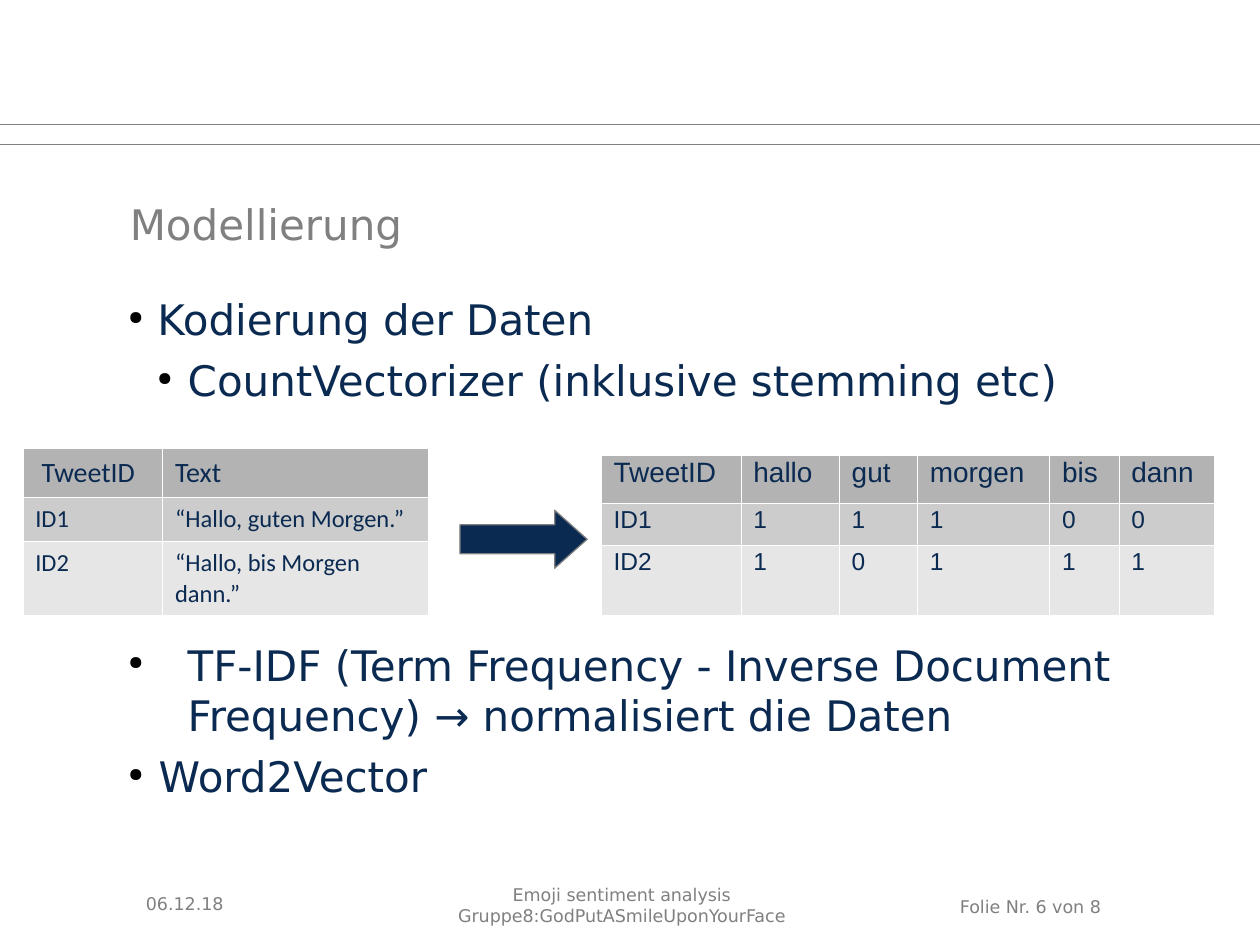
from dataclasses import dataclass

from lxml import etree
from pptx import Presentation
from pptx import util as u
from pptx.dml.color import RGBColor
from pptx.enum import shapes, text
from pptx.oxml import ns

NAVY = RGBColor(0x0B, 0x2A, 0x51)
GRAY = RGBColor(0x80, 0x80, 0x80)
WHITE = RGBColor(0xFF, 0xFF, 0xFF)
BLACK = RGBColor(0, 0, 0)
BANDS = [RGBColor(v, v, v) for v in (0xB3, 0xCC, 0xE6)]
SANS = "DejaVu Sans"
LEFT, MID = text.PP_ALIGN.LEFT, text.PP_ALIGN.CENTER


@dataclass
class Item:
    words: str
    left: float
    hang: float
    gap: float = 6
    level: int = 0


@dataclass
class Grid:
    left: float
    top: float
    cols: list[float]
    rows: list[float]
    cells: list[list[str]]
    font: str
    pitch: float


@dataclass
class Note:
    lines: list[str]
    left: float
    top: float
    width: float
    height: float
    align: text.PP_ALIGN = LEFT
    anchor: text.MSO_ANCHOR = text.MSO_ANCHOR.TOP


ITEMS = [
    Item("Kodierung der Daten", 0.23, 0.23),
    Item("CountVectorizer (inklusive stemming etc)", 0.47, 0.24, level=1),
    # The wide gap leaves room for the two tables
    Item("TF-IDF (Term Frequency - Inverse Document Frequency) → normalisiert die Daten",
         0.47, 0.47, gap=134),
    Item("Word2Vector", 0.24, 0.24),
]
GRIDS = [
    Grid(0.18, 3.56, [1.11, 2.11], [0.38, 0.35, 0.59],
         [[" TweetID", "Text"],
          ["ID1", "“Hallo, guten Morgen.”"],
          ["ID2", "“Hallo, bis Morgen dann.”"]], "Calibri", 1.04),
    Grid(4.77, 3.61, [1.11, 0.78, 0.62, 1.05, 0.55, 0.76], [0.38, 0.34, 0.55],
         [["TweetID", "hallo", "gut", "morgen", "bis", "dann"],
          ["ID1", "1", "1", "1", "0", "0"],
          ["ID2", "1", "0", "1", "1", "1"]], "Arial", 0.87),
]
NOTES = [
    Note(["06.12.18"], 1.06, 6.97, 2.33, 0.4, anchor=text.MSO_ANCHOR.MIDDLE),
    Note(["Emoji sentiment analysis", "Gruppe8:GodPutASmileUponYourFace"],
         3.5, 6.97, 2.87, 0.44, align=MID),
    Note(["Folie Nr. 6 von 8"], 7.52, 7.06, 1.89, 0.29),
]


def write(para, words: str, *, size=24, font=SANS, color=NAVY, align=LEFT,
          before=0, pitch=None) -> None:
    run = para.add_run()
    run.text = words
    run.font.size, run.font.name = u.Pt(size), font
    run.font.color.rgb = color
    para.alignment = align
    para.space_before = u.Pt(before)
    if pitch:
        para.line_spacing = pitch


def frame(shape, x=0.0, y=0.0, anchor=text.MSO_ANCHOR.TOP):
    body = shape.text_frame
    body.word_wrap = True
    body.auto_size = text.MSO_AUTO_SIZE.NONE
    body.vertical_anchor = anchor
    body.margin_left = body.margin_right = u.Inches(x)
    body.margin_top = body.margin_bottom = u.Inches(y)
    return body


def paras(body, count: int) -> list:
    return [body.paragraphs[0]] + [body.add_paragraph() for _ in range(count - 1)]


def node(parent, tag: str, **attrs):
    return etree.SubElement(parent, ns.qn("a:" + tag), attrs)


def bullet(para, item: Item) -> None:
    props = para._p.get_or_add_pPr()
    props.set("marL", str(u.Inches(item.left)))
    props.set("indent", str(-u.Inches(item.hang)))
    node(node(props, "buClr"), "srgbClr", val=str(BLACK))
    node(props, "buSzPct", val="45000")
    node(props, "buChar", char="●")


def border(cell) -> None:
    props = cell._tc.get_or_add_tcPr()
    for at, side in enumerate(("lnL", "lnR", "lnT", "lnB")):
        line = node(props, side, w=str(int(u.Pt(0.06))))
        node(node(line, "solidFill"), "srgbClr", val=str(WHITE))
        props.insert(at, line)


def add_rule(slide, y: float) -> None:
    rule = slide.shapes.add_connector(
        shapes.MSO_CONNECTOR.STRAIGHT, 0, u.Inches(y), u.Inches(10), u.Inches(y))
    rule.line.color.rgb, rule.line.width = GRAY, u.Pt(0.5)
    node(rule._element.spPr, "effectLst")


def add_note(slide, note: Note) -> None:
    box = slide.shapes.add_textbox(
        *map(u.Inches, (note.left, note.top, note.width, note.height)))
    body = frame(box, 0.1, 0.05, note.anchor)
    for para, line in zip(paras(body, len(note.lines)), note.lines):
        write(para, line, size=10, color=GRAY, align=note.align)


def add_grid(slide, grid: Grid) -> None:
    table = slide.shapes.add_table(
        len(grid.rows), len(grid.cols), u.Inches(grid.left), u.Inches(grid.top),
        u.Inches(sum(grid.cols)), u.Inches(sum(grid.rows))).table
    for col, width in zip(table.columns, grid.cols):
        col.width = u.Inches(width)
    for r, (row, height) in enumerate(zip(table.rows, grid.rows)):
        row.height = u.Inches(height)
        for cell, words in zip(row.cells, grid.cells[r]):
            cell.fill.solid()
            cell.fill.fore_color.rgb = BANDS[r]
            cell.margin_left = cell.margin_right = u.Inches(0.1)
            cell.margin_top = cell.margin_bottom = u.Inches(0.05)
            border(cell)
            write(cell.text_frame.paragraphs[0], words, size=14 if r else 16,
                  font=grid.font, pitch=grid.pitch)


def main() -> None:
    deck = Presentation()
    deck.slide_width, deck.slide_height = u.Inches(10), u.Inches(7.5)
    slide = deck.slides.add_slide(deck.slide_layouts[5])

    # Header rules and footer
    for y in (0.99, 1.15):
        add_rule(slide, y)
    for note in NOTES:
        add_note(slide, note)

    # Title
    title = slide.shapes.title
    title.left, title.top = u.Inches(1.03), u.Inches(1.15)
    title.width, title.height = u.Inches(8.15), u.Inches(1.25)
    head = frame(title, anchor=text.MSO_ANCHOR.MIDDLE)
    write(head.paragraphs[0], "Modellierung", color=GRAY, before=6)

    # Bullet list
    body = frame(slide.shapes.add_textbox(*map(u.Inches, (1.02, 2.33, 8.16, 4.13))))
    for para, item in zip(paras(body, len(ITEMS)), ITEMS):
        para.level = item.level
        bullet(para, item)
        write(para, item.words, before=item.gap)

    # Tables and the arrow between them
    for grid in GRIDS:
        add_grid(slide, grid)
    arrow = slide.shapes.add_shape(
        shapes.MSO_SHAPE.RIGHT_ARROW, *map(u.Inches, (3.65, 4.05, 1.01, 0.46)))
    arrow.adjustments[1] = 0.56
    arrow.shadow.inherit = False
    arrow.fill.solid()
    arrow.fill.fore_color.rgb = NAVY
    arrow.line.color.rgb, arrow.line.width = GRAY, u.Pt(0.75)

    deck.save("out.pptx")


if __name__ == "__main__":
    main()
